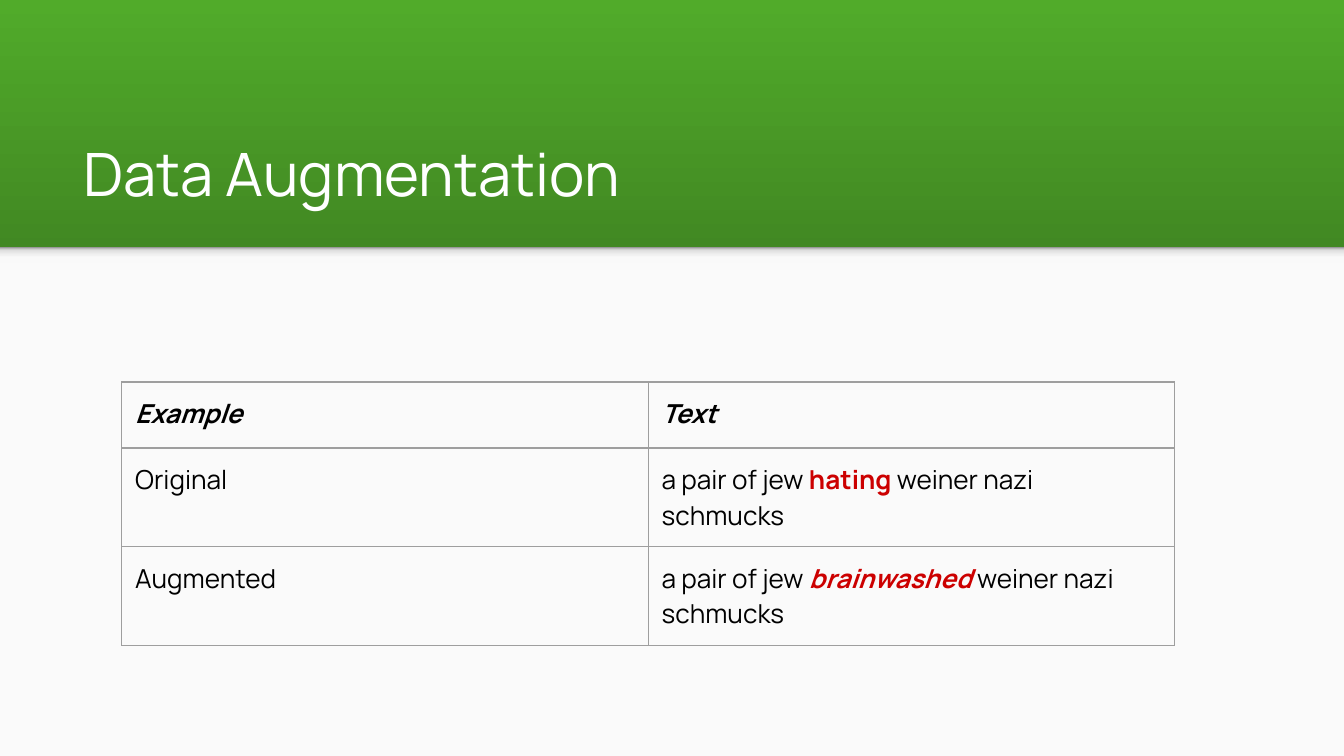
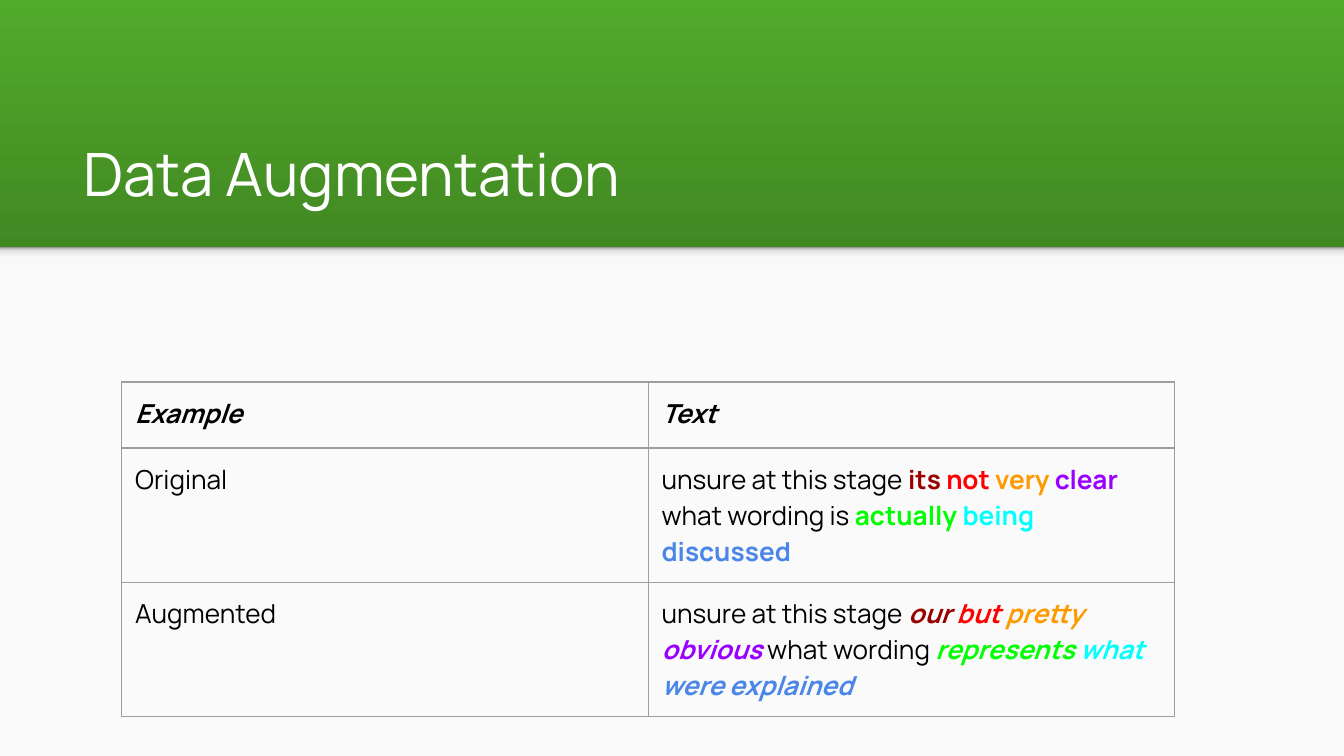
from copy import deepcopy
from dataclasses import dataclass

from lxml import etree
from pptx import Presentation
from pptx.dml.color import RGBColor
from pptx.enum.shapes import MSO_SHAPE
from pptx.enum.text import MSO_ANCHOR, PP_ALIGN
from pptx.oxml.ns import qn
from pptx.util import Cm, Pt

RECTANGLE = MSO_SHAPE.RECTANGLE
BOTTOM = MSO_ANCHOR.BOTTOM
LEFT = PP_ALIGN.LEFT
TITLE_ONLY = 5


@dataclass(frozen=True)
class Theme:
    font: str = "Manrope"
    title_size: Pt = Pt(32)
    table_size: Pt = Pt(14)
    title: str = "FFFFFF"
    text: str = "000000"
    panel: str = "FAFAFA"
    border: str = "9E9E9E"
    border_width: Pt = Pt(0.75)
    background: tuple = ((0, "51AB2A"), (1, "203E13"))
    shade: tuple = ((0, "F9F9F9"), (0.36, "F9F9F9"), (0.8, "DEDEDE"), (1, "999999"))
    crimson: str = "CC0000"
    maroon: str = "980000"
    red: str = "FF0000"
    orange: str = "FF9900"
    purple: str = "9900FF"
    green: str = "00FF00"
    cyan: str = "00FFFF"
    blue: str = "4A86E8"


THEME = Theme()
WIDTH, HEIGHT = Cm(25.4), Cm(14.29)
PANEL_TOP = Cm(4.67)
INSET = Cm(0.254)


def paint_gradient(fill, element, stops, angle):
    """Give fill the (position, colour) stops; angle runs counter-clockwise."""
    fill.gradient()
    fill.gradient_angle = angle
    stop_list = next(element.iter(qn("a:gsLst")))
    while len(stop_list) < len(stops):
        stop_list.append(deepcopy(stop_list[0]))
    for stop, (position, color) in zip(fill.gradient_stops, stops):
        stop.position = position
        stop.color.rgb = RGBColor.from_string(color)


def style_font(font, size, color, bold=None, italic=None):
    font.name = THEME.font
    font.size = size
    font.color.rgb = RGBColor.from_string(color)
    font.bold = bold
    font.italic = italic


def set_margins(target):
    target.margin_left = target.margin_right = INSET
    target.margin_top = target.margin_bottom = INSET


def add_band(page, height):
    band = page.shapes.add_shape(RECTANGLE, 0, PANEL_TOP, WIDTH, height)
    band.shadow.inherit = False
    band.line.fill.background()
    return band


def add_title(page, text):
    title = page.shapes.title
    title.left, title.top = Cm(1.32), Cm(2.06)
    title.width, title.height = Cm(22.83), Cm(2.13)
    frame = title.text_frame
    set_margins(frame)
    frame.vertical_anchor = BOTTOM
    frame.text = text
    para = frame.paragraphs[0]
    para.alignment = LEFT
    style_font(para.font, THEME.title_size, THEME.title)


def add_page(deck, title):
    page = deck.slides.add_slide(deck.slide_layouts[TITLE_ONLY])
    paint_gradient(page.background.fill, page._element, THEME.background, 270)
    panel = add_band(page, HEIGHT - PANEL_TOP)
    panel.fill.solid()
    panel.fill.fore_color.rgb = RGBColor.from_string(THEME.panel)
    shade = add_band(page, Cm(0.3))
    paint_gradient(shade.fill, shade._element, THEME.shade, 90)
    add_title(page, title)
    return page


def add_borders(cell):
    properties = cell._tc.get_or_add_tcPr()
    for side in ("a:lnL", "a:lnR", "a:lnT", "a:lnB"):
        line = etree.SubElement(properties, qn(side), w=str(int(THEME.border_width)))
        solid = etree.SubElement(line, qn("a:solidFill"))
        etree.SubElement(solid, qn("a:srgbClr"), val=THEME.border)


def fill_cell(cell, content, heading=False, italic=False):
    """Write content: a string, or spans that are plain or (text, colour)."""
    set_margins(cell)
    add_borders(cell)
    cell.fill.background()
    para = cell.text_frame.paragraphs[0]
    style_font(para.font, THEME.table_size, THEME.text, heading, heading)
    if isinstance(content, str):
        content = [content]
    for item in content:
        span = para.add_run()
        if isinstance(item, str):
            span.text = item
            style_font(span.font, THEME.table_size, THEME.text, heading, heading)
        else:
            span.text, color = item
            style_font(span.font, THEME.table_size, color, True, italic)


def add_examples(page, source, augmented):
    rows = [("Example", "Text"), ("Original", source), ("Augmented", augmented)]
    row_height, column_width = Cm(1.25), Cm(9.95)
    table = page.shapes.add_table(
        len(rows), 2, Cm(2.3), Cm(7.22), 2 * column_width, len(rows) * row_height
    ).table
    table.first_row = table.horz_banding = False
    for row, contents in enumerate(rows):
        for column, content in enumerate(contents):
            fill_cell(table.cell(row, column), content, row == 0, row == 2)


def main():
    deck = Presentation()
    deck.slide_width, deck.slide_height = WIDTH, HEIGHT
    examples = [
        (
            ["a pair of jew ", ("hating ", THEME.crimson), "weiner nazi schmucks"],
            ["a pair of jew ", ("brainwashed ", THEME.crimson), "weiner nazi schmucks"],
        ),
        (
            ["unsure at this stage ", ("its ", THEME.maroon), ("not ", THEME.red),
             ("very ", THEME.orange), ("clear ", THEME.purple), "what wording is ",
             ("actually ", THEME.green), ("being ", THEME.cyan),
             ("discussed", THEME.blue)],
            ["unsure at this stage ", ("our ", THEME.maroon), ("but ", THEME.red),
             ("pretty ", THEME.orange), ("obvious ", THEME.purple), "what wording ",
             ("represents ", THEME.green), ("what ", THEME.cyan),
             ("were explained", THEME.blue)],
        ),
    ]
    for source, augmented in examples:
        add_examples(add_page(deck, "Data Augmentation"), source, augmented)
    deck.save("out.pptx")


if __name__ == "__main__":
    main()
